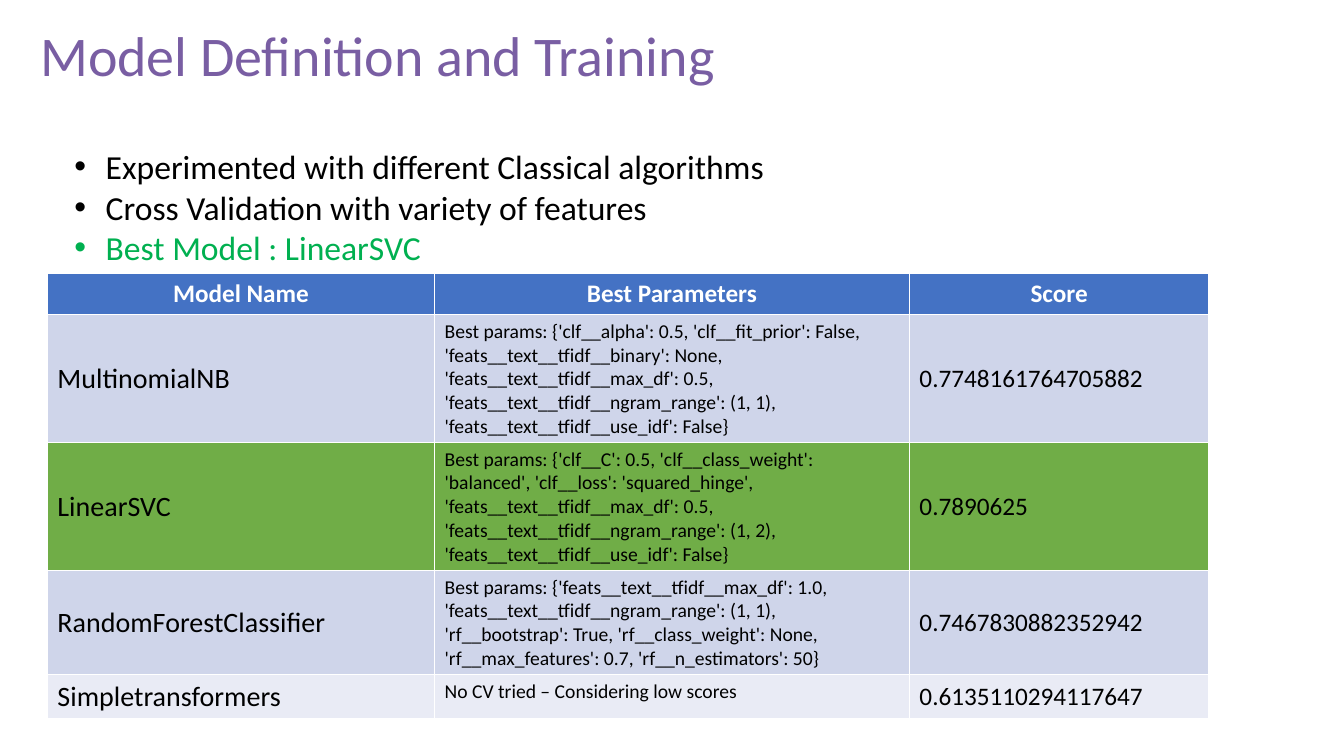
from dataclasses import dataclass

from lxml.etree import SubElement
from pptx import Presentation
from pptx.dml.color import RGBColor
from pptx.enum.text import MSO_ANCHOR, PP_ALIGN
from pptx.oxml.ns import qn
from pptx.slide import Slide
from pptx.table import _Cell
from pptx.text.text import TextFrame, _Paragraph
from pptx.util import Inches, Pt

FONT = "Calibri"
BLACK, WHITE, PURPLE, GREEN = "000000", "FFFFFF", "795EA3", "00B050"
HEADER_FILL, BAND_FILL, BEST_FILL, LIGHT_FILL = "4472C4", "CFD5EA", "70AD47", "E9EBF5"
HEADINGS = ("Model Name", "Best Parameters", "Score")
COLUMN_WIDTHS = (3.84, 4.71, 2.97)
HEADER_HEIGHT = 0.41
BODY_SIZES = (20, 14, 18)
BODY_ANCHORS = (MSO_ANCHOR.MIDDLE, MSO_ANCHOR.TOP, MSO_ANCHOR.MIDDLE)


@dataclass(frozen=True)
class Bullet:
    text: str
    color: str = BLACK


@dataclass(frozen=True)
class Model:
    name: str
    parameters: str
    score: str
    fill: str
    height: float


BULLETS = (
    Bullet("Experimented with different Classical algorithms"),
    Bullet("Cross Validation with variety of features"),
    Bullet("Best Model : LinearSVC", GREEN),
)

MODELS = (
    Model(
        "MultinomialNB",
        "Best params: {'clf__alpha': 0.5, 'clf__fit_prior': False, "
        "'feats__text__tfidf__binary': None, 'feats__text__tfidf__max_df': 0.5, "
        "'feats__text__tfidf__ngram_range': (1, 1), 'feats__text__tfidf__use_idf': False}",
        "0.7748161764705882", BAND_FILL, 1.27,
    ),
    Model(
        "LinearSVC",
        "Best params: {'clf__C': 0.5, 'clf__class_weight': 'balanced', "
        "'clf__loss': 'squared_hinge', 'feats__text__tfidf__max_df': 0.5, "
        "'feats__text__tfidf__ngram_range': (1, 2), 'feats__text__tfidf__use_idf': False}",
        "0.7890625", BEST_FILL, 1.27,
    ),
    Model(
        "RandomForestClassifier",
        "Best params: {'feats__text__tfidf__max_df': 1.0, "
        "'feats__text__tfidf__ngram_range': (1, 1), 'rf__bootstrap': True, "
        "'rf__class_weight': None, 'rf__max_features': 0.7, 'rf__n_estimators': 50}",
        "0.7467830882352942", BAND_FILL, 1.03,
    ),
    Model(
        "Simpletransformers", "No CV tried – Considering low scores",
        "0.6135110294117647", LIGHT_FILL, 0.43,
    ),
)


def rgb(color: str) -> RGBColor:
    """Return the colour for a hex string."""
    return RGBColor.from_string(color)


def write(paragraph: _Paragraph, text: str, size: float, color: str, bold: bool = False) -> None:
    """Fill a paragraph with text in one style."""
    paragraph.text = text
    paragraph.font.name = FONT
    paragraph.font.size = Pt(size)
    paragraph.font.bold = bold
    paragraph.font.color.rgb = rgb(color)


def add_text_frame(slide: Slide, left: float, top: float, width: float, height: float) -> TextFrame:
    """Add a wrapping text box and return its text frame."""
    box = slide.shapes.add_textbox(Inches(left), Inches(top), Inches(width), Inches(height))
    box.text_frame.word_wrap = True
    return box.text_frame


def add_title(slide: Slide) -> None:
    """Add the slide heading."""
    text_frame = add_text_frame(slide, 0.3, 0.13, 11.51, 0.82)
    text_frame.vertical_anchor = MSO_ANCHOR.MIDDLE
    write(text_frame.paragraphs[0], "Model Definition and Training", 40, PURPLE)


def add_bullets(slide: Slide) -> None:
    """Add the list of findings."""
    text_frame = add_text_frame(slide, 0.64, 1.4, 9.22, 1.31)
    for index, bullet in enumerate(BULLETS):
        paragraph = text_frame.add_paragraph() if index else text_frame.paragraphs[0]
        write(paragraph, bullet.text, 24, bullet.color)
        properties = paragraph._p.get_or_add_pPr()
        properties.set("marL", str(Inches(0.31)))
        properties.set("indent", str(Inches(-0.31)))
        bullet_font = SubElement(properties, qn("a:buFont"))
        bullet_font.set("typeface", "Arial")
        bullet_mark = SubElement(properties, qn("a:buChar"))
        bullet_mark.set("char", "•")
        properties.append(properties.find(qn("a:defRPr")))


def fill_cell(cell: _Cell, color: str) -> None:
    """Give a table cell a solid fill."""
    cell.fill.solid()
    cell.fill.fore_color.rgb = rgb(color)


def add_model_table(slide: Slide) -> None:
    """Add the table of models, parameters and scores."""
    heights = (HEADER_HEIGHT, *(model.height for model in MODELS))
    table = slide.shapes.add_table(
        len(heights), len(HEADINGS), Inches(0.47), Inches(2.71),
        Inches(sum(COLUMN_WIDTHS)), Inches(sum(heights)),
    ).table
    for column, width in zip(table.columns, COLUMN_WIDTHS):
        column.width = Inches(width)
    for row, height in zip(table.rows, heights):
        row.height = Inches(height)
    for cell, heading in zip(table.rows[0].cells, HEADINGS):
        fill_cell(cell, HEADER_FILL)
        paragraph = cell.text_frame.paragraphs[0]
        write(paragraph, heading, 18, WHITE, bold=True)
        paragraph.alignment = PP_ALIGN.CENTER
    for row_index, model in enumerate(MODELS, start=1):
        values = (model.name, model.parameters, model.score)
        cells = table.rows[row_index].cells
        for cell, value, size, anchor in zip(cells, values, BODY_SIZES, BODY_ANCHORS):
            fill_cell(cell, model.fill)
            cell.vertical_anchor = anchor
            write(cell.text_frame.paragraphs[0], value, size, BLACK)


def main() -> None:
    """Build and save the presentation."""
    presentation = Presentation()
    presentation.slide_width = Inches(13.33)
    presentation.slide_height = Inches(7.5)
    slide = presentation.slides.add_slide(presentation.slide_layouts[6])
    add_title(slide)
    add_bullets(slide)
    add_model_table(slide)
    presentation.save("out.pptx")


if __name__ == "__main__":
    main()
